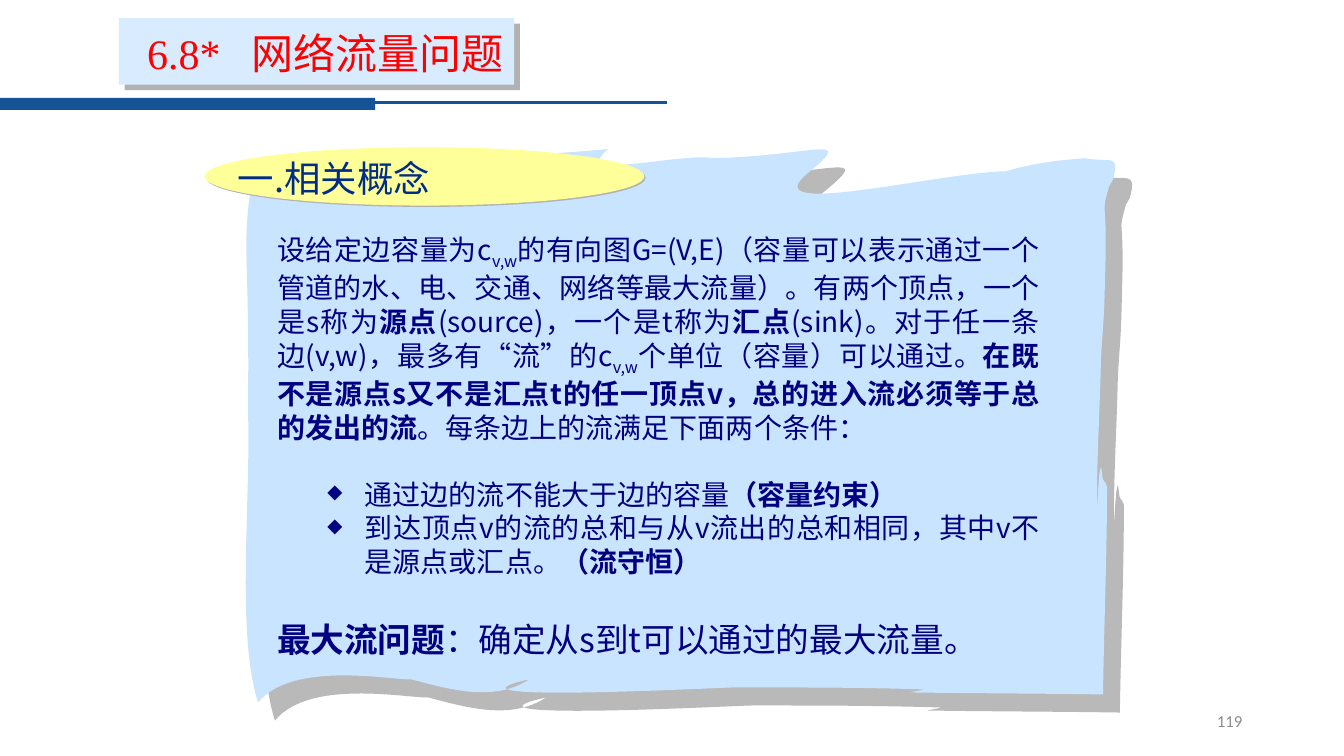
from dataclasses import dataclass
from typing import NamedTuple

from lxml.etree import SubElement
from pptx import Presentation
from pptx.dml.color import RGBColor
from pptx.enum.shapes import MSO_CONNECTOR as Connector, MSO_SHAPE as Shape
from pptx.enum.text import MSO_ANCHOR as Anchor, PP_ALIGN as Align
from pptx.oxml.ns import qn
from pptx.util import Inches, Pt

COLS, ROWS = 1333, 750
CELL = Inches(0.01)
CJK, SERIF, SANS = "Noto Sans CJK SC", "Times New Roman", "Calibri"
BLUE, NAVY, GREY = "145396", "000080", "B2B2B2"


class Box(NamedTuple):
    left: int
    top: int
    width: int
    height: int


class Shadow(NamedTuple):
    color: str
    dist: float
    angle: int


class Run(NamedTuple):
    text: str
    bold: bool = False
    sub: bool = False


@dataclass
class Panel:
    kind: Shape
    box: Box
    fill: str
    shadow: Shadow | None = None


@dataclass
class Para:
    runs: list[Run]
    size: float = 20
    before: float = 0
    bullet: str = ""
    tab: int = 0
    align: Align = Align.LEFT


PANELS = [
    Panel(Shape.RECTANGLE, Box(0, 97, 372, 12), BLUE),
    Panel(Shape.RECTANGLE, Box(118, 18, 392, 66), "D9ECFF", Shadow(GREY, 5.7, 45)),
]
HEADING = Panel(Shape.OVAL, Box(203, 146, 436, 58), "FFFF99", Shadow(GREY, 1.4, 45))

SCROLL_START = (306, 157)
SCROLL_CURVES = [
    (366, 160, 407, 162, 469, 160), (514, 154, 559, 152, 603, 148),
    (564, 181, 675, 151, 707, 157), (806, 155, 851, 131, 801, 172),
    (746, 218, 932, 171, 998, 170), (1024, 162, 1050, 159, 1076, 157),
    (1101, 162, 1111, 151, 1104, 178), (1103, 180, 1102, 182, 1100, 185),
    (1091, 219, 1099, 187, 1096, 277), (1095, 322, 1094, 320, 1092, 356),
    (1091, 404, 1088, 452, 1088, 500), (1088, 509, 1089, 484, 1090, 476),
    (1090, 471, 1091, 467, 1092, 463), (1093, 467, 1093, 472, 1094, 476),
    (1095, 478, 1098, 480, 1098, 483), (1098, 552, 1095, 620, 1094, 689),
    (1031, 688, 968, 688, 904, 687), (900, 687, 920, 684, 916, 684),
    (854, 682, 791, 682, 729, 682), (716, 682, 417, 698, 525, 674),
    (490, 697, 446, 684, 408, 674), (388, 675, 290, 655, 256, 697),
    (234, 628, 249, 496, 246, 408), (248, 233, 238, 253, 252, 165),
    (255, 166, 258, 165, 260, 167), (271, 176, 256, 177, 272, 172),
    (277, 164, 281, 158, 288, 153), (295, 154, 299, 155, 306, 157),
    (306, 157, 322, 164, 306, 157),
]

BODY = [
    Para([
        Run("设给定边容量为c"), Run("v,w", sub=True),
        Run("的有向图G=(V,E)（容量可以表示通过一个管道的水、电、交通、网络等最大流量）。有两个顶点，一个是s称为"),
        Run("源点", bold=True), Run("(source)，一个是t称为"),
        Run("汇点", bold=True), Run("(sink)。对于任一条边(v,w)，最多有“流”的c"),
        Run("v,w", sub=True), Run("个单位（容量）可以通过。"),
        Run("在既不是源点s又不是汇点t的任一顶点v，总的进入流必须等于总的发出的流", bold=True),
        Run("。每条边上的流满足下面两个条件："),
    ], align=Align.JUSTIFY),
    Para([Run("通过边的流不能大于边的容量"), Run("（容量约束）", bold=True)],
         before=24, bullet="◆", align=Align.JUSTIFY),
    Para([Run("到达顶点v的流的总和与从v流出的总和相同，其中v不是源点或汇点。"),
          Run("（流守恒）", bold=True)],
         bullet="◆", align=Align.JUSTIFY),
    Para([Run("最大流问题", bold=True), Run("：确定从s到t可以通过的最大流量。")],
         size=24, before=29, align=Align.JUSTIFY),
]


def rgb(color: str) -> RGBColor:
    return RGBColor.from_string(color)


def cells(*counts: float) -> list[int]:
    return [round(n * CELL) for n in counts]


def paint(sp, fill: str, shadow: Shadow | None = None) -> None:
    sp.fill.solid()
    sp.fill.fore_color.rgb = rgb(fill)
    sp.line.fill.background()
    sp.shadow.inherit = False
    if shadow:
        effects = sp.element.spPr.find(qn("a:effectLst"))
        outer = SubElement(effects, qn("a:outerShdw"), dist=str(Pt(shadow.dist)),
                           dir=str(shadow.angle * 60000), algn="ctr", rotWithShape="0")
        SubElement(outer, qn("a:srgbClr"), val=shadow.color)


def add_panel(s, panel: Panel) -> None:
    sp = s.shapes.add_shape(panel.kind, *cells(*panel.box))
    paint(sp, panel.fill, panel.shadow)


def add_rule(s, x1: int, x2: int, y: int) -> None:
    ln = s.shapes.add_connector(Connector.STRAIGHT, *cells(x1, y, x2, y))
    ln.line.color.rgb = rgb(BLUE)
    ln.line.width = Pt(2.25)
    SubElement(ln.element.spPr, qn("a:effectLst"))


def add_scroll(s, fill: str, shadow: Shadow) -> None:
    points = [cells(*curve[i:i + 2]) for curve in SCROLL_CURVES for i in (0, 2, 4)]
    builder = s.shapes.build_freeform(*cells(*SCROLL_START))
    builder.add_line_segments(points, close=True)
    sp = builder.convert_to_shape()
    segments = list(sp.element.iter(qn("a:lnTo")))
    for first, second, third in zip(segments[::3], segments[1::3], segments[2::3]):
        first.tag = qn("a:cubicBezTo")
        for segment in (second, third):
            first.append(segment[0])
            segment.getparent().remove(segment)
    paint(sp, fill, shadow)


def add_text(s, box: Box, paras: list[Para], *, font: str, color: str,
             anchor: Anchor = Anchor.TOP, inset: int = 10) -> None:
    tf = s.shapes.add_textbox(*cells(*box)).text_frame
    tf.word_wrap = True
    tf.vertical_anchor = anchor
    tf.margin_left = cells(inset)[0]
    for i, para in enumerate(paras):
        p = tf.add_paragraph() if i else tf.paragraphs[0]
        pPr = p._p.get_or_add_pPr()
        if para.bullet:
            p.level = 1
            pPr.set("marL", str(Inches(0.87)))
            pPr.set("indent", str(Inches(-0.37)))
            SubElement(pPr, qn("a:buSzPct"), val="70000")
            SubElement(pPr, qn("a:buChar"), char=para.bullet)
        if para.tab:
            tabs = SubElement(pPr, qn("a:tabLst"))
            SubElement(tabs, qn("a:tab"), pos=str(cells(para.tab)[0]), algn="l")
        p.alignment = para.align
        if para.before:
            p.space_before = Pt(para.before)
        for run in para.runs:
            r = p.add_run()
            r.text = run.text
            r.font.size = Pt(para.size)
            r.font.bold = run.bold
            r.font.color.rgb = rgb(color)
            r.font.name = font
            rPr = r._r.get_or_add_rPr()
            SubElement(rPr, qn("a:ea"), typeface=CJK)
            if run.sub:
                rPr.set("baseline", "-25000")


def main() -> None:
    prs = Presentation()
    prs.slide_width, prs.slide_height = cells(COLS, ROWS)
    s = prs.slides.add_slide(prs.slide_layouts[6])
    for panel in PANELS:
        add_panel(s, panel)
    add_rule(s, 368, 662, 102)
    add_text(s, Box(942, 695, 300, 40), [Para([Run("119")], size=12, align=Align.RIGHT)],
             font=SANS, color="8C8C8C", anchor=Anchor.MIDDLE)
    add_text(s, Box(115, 22, 415, 61), [Para([Run("6.8*\t网络流量问题")], size=30, tab=103)],
             font=SERIF, color="FF0000", inset=31)
    add_scroll(s, "C9E4FF", Shadow("B9B9B9", 17.7, 47))
    add_text(s, Box(265, 226, 776, 427), BODY, font=CJK, color=NAVY)
    add_panel(s, HEADING)
    add_text(s, Box(226, 150, 404, 54), [Para([Run("一.相关概念")], size=26)],
             font=CJK, color="002D88")
    prs.save("out.pptx")


if __name__ == "__main__":
    main()
